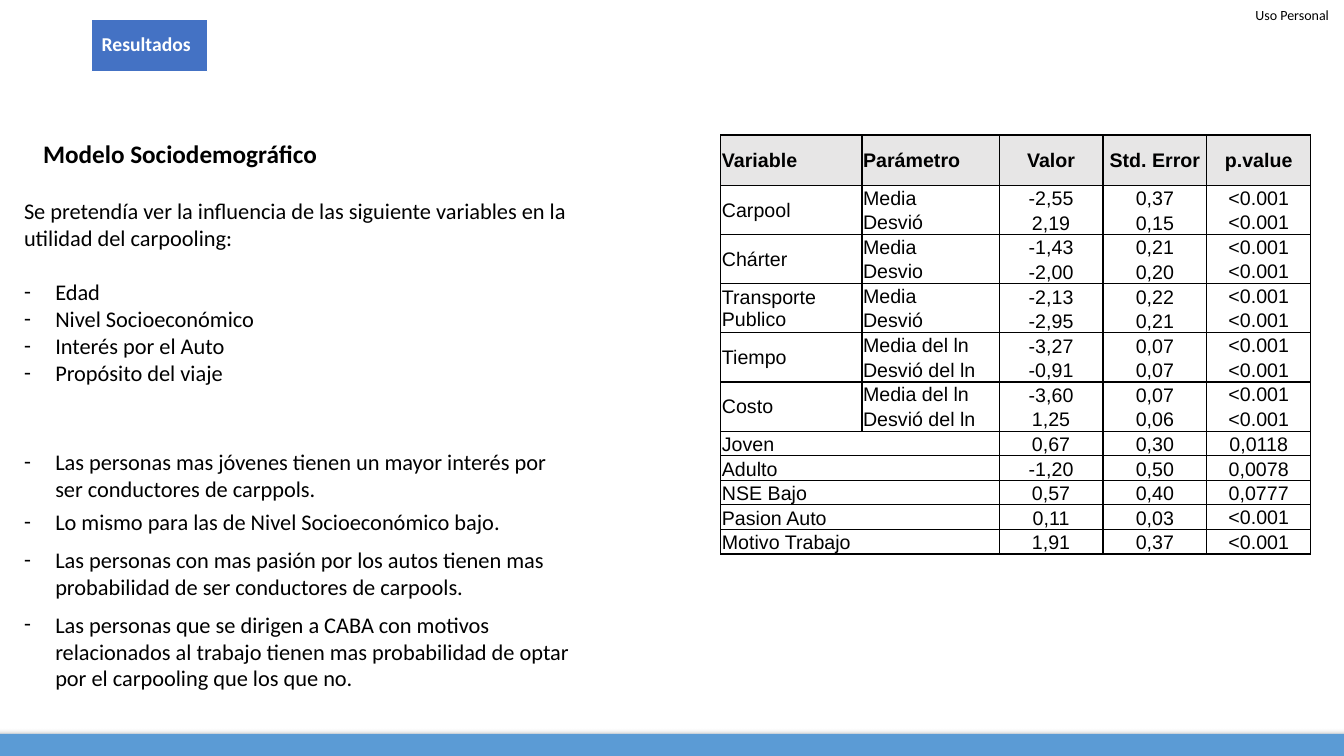
from lxml.etree import SubElement
from pptx import Presentation
from pptx.dml.color import RGBColor
from pptx.enum.shapes import MSO_SHAPE
from pptx.enum.text import MSO_ANCHOR, PP_ALIGN
from pptx.oxml import parse_xml
from pptx.oxml.ns import nsdecls, qn
from pptx.util import Inches, Pt

W, H = 13.33, 7.5
COLORS = {"text": "000000", "white": "FFFFFF", "tag": "4472C4",
          "footer": "5B9BD5", "header": "E7E6E6"}

CORNER = "Uso Personal"
TAG = "Resultados"
TITLE = "Modelo Sociodemográfico"
INTRO = ("Se pretendía ver la influencia de las siguiente variables en la "
         "utilidad del carpooling:")
VARIABLES = ["Edad", "Nivel Socioeconómico", "Interés por el Auto", "Propósito del viaje"]
FINDINGS = [  # top, width, height, text
    (4.40, 5.63, 0.64, "Las personas mas jóvenes tienen un mayor interés por "
                       "ser conductores de carppols."),
    (4.99, 5.63, 0.37, "Lo mismo para las de Nivel Socioeconómico bajo."),
    (5.37, 6.30, 0.64, "Las personas con mas pasión por los autos tienen mas "
                       "probabilidad de ser conductores de carpools."),
    (6.01, 5.80, 0.91, "Las personas que se dirigen a CABA con motivos relacionados al trabajo "
                       "tienen mas probabilidad de optar por el carpooling que los que no."),
]
HEADER = ["Variable", "Parámetro", "Valor", "Std. Error", "p.value"]
LOW = "<0.001"
RANDOM = [  # variable, then one row for each parameter
    ("Carpool", [("Media", "-2,55", "0,37", LOW), ("Desvió", "2,19", "0,15", LOW)]),
    ("Chárter", [("Media", "-1,43", "0,21", LOW), ("Desvio", "-2,00", "0,20", LOW)]),
    ("Transporte Publico", [("Media", "-2,13", "0,22", LOW), ("Desvió", "-2,95", "0,21", LOW)]),
    ("Tiempo", [("Media del ln", "-3,27", "0,07", LOW), ("Desvió del ln", "-0,91", "0,07", LOW)]),
    ("Costo", [("Media del ln", "-3,60", "0,07", LOW), ("Desvió del ln", "1,25", "0,06", LOW)]),
]
FIXED = [
    ("Joven", "0,67", "0,30", "0,0118"),
    ("Adulto", "-1,20", "0,50", "0,0078"),
    ("NSE Bajo", "0,57", "0,40", "0,0777"),
    ("Pasion Auto", "0,11", "0,03", LOW),
    ("Motivo Trabajo", "1,91", "0,37", LOW),
]
COLS = [1.4, 1.36, 1.03, 1.03, 1.03]
TABLE_LEFT, TABLE_TOP, HEAD_H, ROW_H = 7.15, 1.34, 0.5, 0.244
LEFT, INDENT = 0.14, 0.31

prs = Presentation()
prs.slide_width, prs.slide_height = Inches(W), Inches(H)
s = prs.slides.add_slide(prs.slide_layouts[6])


def rgb(name):
    return RGBColor.from_string(COLORS[name])


def write(p, text, size, bold=False, color="text", font="Calibri"):
    r = p.add_run()
    r.text = text
    r.font.size, r.font.bold, r.font.name = Pt(size), bold, font
    r.font.color.rgb = rgb(color)


def text_box(x, y, w, h, anchor=MSO_ANCHOR.TOP):
    tf = s.shapes.add_textbox(Inches(x), Inches(y), Inches(w), Inches(h)).text_frame
    tf.word_wrap = True
    tf.vertical_anchor = anchor
    return tf


def write_bullet(p, text):
    write(p, text, 16)
    pPr = p._p.get_or_add_pPr()
    pPr.set("marL", str(Inches(INDENT)))
    pPr.set("indent", str(-Inches(INDENT)))
    SubElement(pPr, qn("a:buFont")).set("typeface", "Calibri")
    SubElement(pPr, qn("a:buChar")).set("char", "-")


def rectangle(x, y, w, h, color):
    sp = s.shapes.add_shape(MSO_SHAPE.RECTANGLE, Inches(x), Inches(y), Inches(w), Inches(h))
    sp.shadow.inherit = False
    sp.fill.solid()
    sp.fill.fore_color.rgb = rgb(color)
    sp.line.fill.background()
    return sp


def set_borders(cell, hidden=""):
    """Draw 1 pt borders on all sides but the hidden ones (letters of LRTB)."""
    tcPr = cell._tc.get_or_add_tcPr()
    for i, side in enumerate("LRTB"):
        paint = ("<a:noFill/>" if side in hidden else
                 f'<a:solidFill><a:srgbClr val="{COLORS["text"]}"/></a:solidFill>')
        tcPr.insert(i, parse_xml(f'<a:ln{side} {nsdecls("a")} w="12700">{paint}</a:ln{side}>'))


def fill_cell(row, col, text, fill="white", anchor=MSO_ANCHOR.MIDDLE, hidden=""):
    cell = table.cell(row, col)
    cell.margin_left = cell.margin_right = cell.margin_top = Inches(0.01)
    cell.margin_bottom = 0
    cell.vertical_anchor = anchor
    if fill:
        cell.fill.solid()
        cell.fill.fore_color.rgb = rgb(fill)
    else:
        cell.fill.background()
    set_borders(cell, hidden)
    p = cell.text_frame.paragraphs[0]
    p.alignment = PP_ALIGN.CENTER if col > 1 else PP_ALIGN.LEFT
    if text:
        write(p, text, 14, row == 0, font="Arial")


def fill_numbers(row, numbers, hidden=""):
    for col, text in enumerate(numbers, 2):
        anchor = MSO_ANCHOR.MIDDLE if text == LOW else MSO_ANCHOR.BOTTOM
        fill_cell(row, col, text, anchor=anchor, hidden=hidden)


# Corner label and footer bar
tf = text_box(W - 1.04, 0, 1.04, 0.29, MSO_ANCHOR.MIDDLE)
tf.margin_left = tf.margin_top = tf.margin_bottom = 0
tf.margin_right = Inches(0.15)
tf.paragraphs[0].alignment = PP_ALIGN.RIGHT
write(tf.paragraphs[0], CORNER, 10)

footer = rectangle(-0.15, 7.28, 13.62, 0.23, "footer")
footer._element.spPr.find(qn("a:effectLst")).append(parse_xml(
    f'<a:outerShdw {nsdecls("a")} blurRad="50800" dist="38100" dir="10800000">'
    '<a:srgbClr val="000000"><a:alpha val="40000"/></a:srgbClr></a:outerShdw>'))

# Heading and section tag
write(text_box(0.33, 1.32, 3.27, 0.4).paragraphs[0], TITLE, 18, True)
tag = rectangle(0.91, 0.19, 1.15, 0.52, "tag")
tag.line.color.rgb, tag.line.width = rgb("white"), Pt(1)
p = text_box(0.91, 0.15, 1.15, 0.6, MSO_ANCHOR.MIDDLE).paragraphs[0]
p.line_spacing = 0.9
write(p, TAG, 14, True, "white")

# Results table
n_rows = 1 + 2 * len(RANDOM) + len(FIXED)
table = s.shapes.add_table(n_rows, len(COLS), Inches(TABLE_LEFT), Inches(TABLE_TOP),
                           Inches(sum(COLS)), Inches(HEAD_H + ROW_H * (n_rows - 1))).table
table.first_row = table.horz_banding = False
for column, width in zip(table.columns, COLS):
    column.width = Inches(width)
for i, table_row in enumerate(table.rows):
    table_row.height = Inches(ROW_H if i else HEAD_H)

for col, text in enumerate(HEADER):
    fill_cell(0, col, text, "header")
row = 1
for name, parameters in RANDOM:
    table.cell(row, 0).merge(table.cell(row + 1, 0))
    for label, hidden, (parameter, *numbers) in zip((name, ""), "BT", parameters):
        fill_cell(row, 0, label)
        fill_cell(row, 1, parameter, hidden=hidden)
        fill_numbers(row, numbers, hidden)
        row += 1
for name, *numbers in FIXED:
    table.cell(row, 0).merge(table.cell(row, 1))
    fill_cell(row, 0, name, None, MSO_ANCHOR.BOTTOM)
    fill_cell(row, 1, "", None)
    fill_numbers(row, numbers)
    row += 1

# Variables studied and findings
tf = text_box(LEFT, 1.91, 5.63, 1.99)
write(tf.paragraphs[0], INTRO, 16)
tf.paragraphs[0].space_after = Pt(19.5)
for text in VARIABLES:
    write_bullet(tf.add_paragraph(), text)
for top, width, height, text in FINDINGS:
    write_bullet(text_box(LEFT, top, width, height).paragraphs[0], text)

prs.save("out.pptx")
